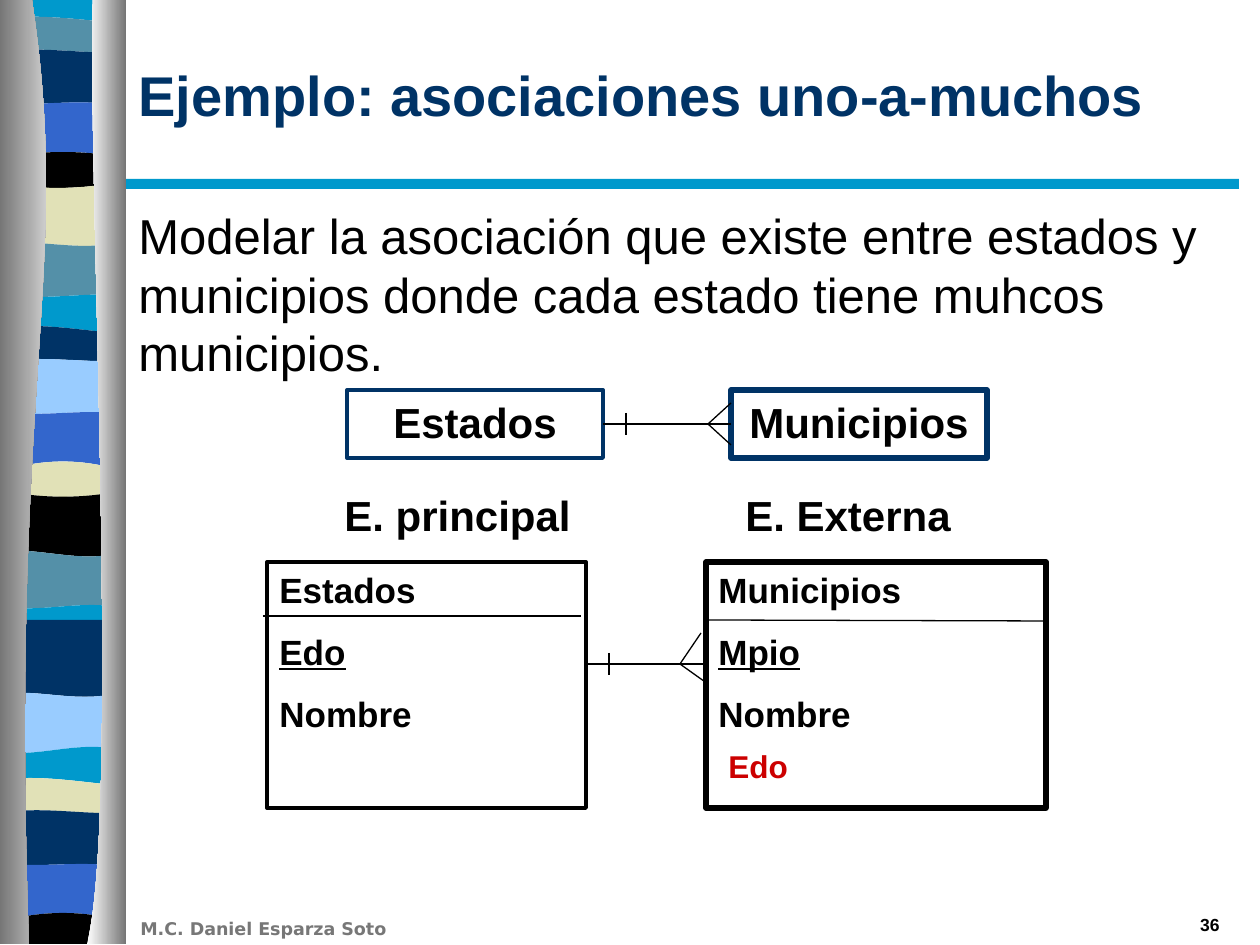
from lxml.etree import SubElement
from pptx import Presentation
from pptx.dml.color import RGBColor
from pptx.enum.shapes import MSO_CONNECTOR, MSO_SHAPE
from pptx.enum.text import MSO_ANCHOR, PP_ALIGN
from pptx.oxml.ns import qn
from pptx.util import Pt

EMU_PER_PX = 914400 / 126
NAVY = RGBColor(0x00, 0x33, 0x66)
CYAN = RGBColor(0x00, 0x99, 0xCC)
TEAL = RGBColor(0x54, 0x90, 0xA8)
BLUE = RGBColor(0x33, 0x66, 0xCC)
SKY = RGBColor(0x99, 0xCC, 0xFF)
SAND = RGBColor(0xE1, 0xE1, 0xB7)
BLACK = RGBColor(0x00, 0x00, 0x00)
WHITE = RGBColor(0xFF, 0xFF, 0xFF)
GRAY = RGBColor(0x76, 0x76, 0x76)
FOOTER_GRAY = RGBColor(0x77, 0x77, 0x77)
RED = RGBColor(0xCC, 0x00, 0x00)

BANDS = [
    (CYAN, (0, 0, 0, 0)),
    (TEAL, (18, 14, 20, 24)),
    (NAVY, (52, 46, 54, 53)),
    (BLUE, (102, 108, 96, 108)),
    (BLACK, (158, 150, 150, 158)),
    (SAND, (182, 191, 189, 181)),
    (TEAL, (244, 238, 254, 240)),
    (CYAN, (294, 302, 291, 296)),
    (NAVY, (328, 322, 331, 334)),
    (SKY, (362, 355, 363, 361)),
    (BLUE, (411, 419, 407, 415)),
    (SAND, (472, 458, 458, 472)),
    (BLACK, (490, 499, 499, 490)),
    (TEAL, (551, 547, 565, 551)),
    (CYAN, (606, 614, 598, 609)),
    (NAVY, (620, 620, 620, 620)),
    (SKY, (694, 688, 706, 690)),
    (CYAN, (752, 758, 738, 752)),
    (SAND, (780, 774, 783, 786)),
    (NAVY, (813, 806, 815, 813)),
    (BLUE, (863, 869, 859, 868)),
    (BLACK, (922, 910, 910, 922)),
]


def px(value):
    """Turn pixels into EMU."""
    return round(value * EMU_PER_PX)


def write_text(shape, *lines, size, color=BLACK, bold=True, font="Arial",
               align=PP_ALIGN.LEFT, anchor=MSO_ANCHOR.TOP, gap=0, underlined=()):
    """Write one paragraph per line into a shape."""
    frame = shape.text_frame
    frame.word_wrap = True
    frame.vertical_anchor = anchor
    for index, line in enumerate(lines):
        paragraph = frame.add_paragraph() if index else frame.paragraphs[0]
        paragraph.alignment = align
        paragraph.space_before = Pt(gap if index else 0)
        run = paragraph.add_run()
        run.text = line
        run.font.size = Pt(size)
        run.font.name = font
        run.font.bold = bold
        run.font.underline = line in underlined
        run.font.color.rgb = color


def add_text(slide, box, text, **style):
    """Add a text box."""
    write_text(slide.shapes.add_textbox(*map(px, box)), text, **style)


def add_rectangle(slide, box, line_color=None, line_width=0, fill_color=None):
    """Add an outlined or filled rectangle."""
    shape = slide.shapes.add_shape(MSO_SHAPE.RECTANGLE, *map(px, box))
    shape.shadow.inherit = False
    if fill_color is None:
        shape.fill.background()
    else:
        shape.fill.solid()
        shape.fill.fore_color.rgb = fill_color
    if line_color is None:
        shape.line.fill.background()
    else:
        shape.line.color.rgb = line_color
        shape.line.width = Pt(line_width)
    return shape


def add_line(slide, start, end):
    """Add a thin black line."""
    line = slide.shapes.add_connector(MSO_CONNECTOR.STRAIGHT, *map(px, (*start, *end)))
    line.line.color.rgb = BLACK
    line.line.width = Pt(0.75)
    SubElement(line._element.spPr, qn("a:effectLst"))
    return line


def add_outline(slide, *edges):
    """Add a closed shape whose four-point edges are cubic curves."""
    first, *rest = [(px(x), px(y)) for edge in edges for x, y in edge]
    builder = slide.shapes.build_freeform(*first, scale=1.0)
    builder.add_line_segments(rest, close=True)
    shape = builder.convert_to_shape()
    shape.shadow.inherit = False
    shape.line.fill.background()
    outline = next(shape._element.iter(qn("a:path")))
    segments = outline.findall(qn("a:lnTo"))
    position = 0
    for edge in edges:
        if len(edge) == 4:
            curve = SubElement(outline, qn("a:cubicBezTo"))
            segments[position].addprevious(curve)
            for segment in segments[position:position + 3]:
                curve.append(segment[0])
                outline.remove(segment)
        position += len(edge)
    return shape


def add_pillar(slide, inner, outer, colors):
    """Add a pillar shaded from left to right."""
    fill = add_outline(slide, inner, outer).fill
    fill.gradient()
    fill.gradient_angle = 0
    for stop, position, color in zip(fill.gradient_stops, (0, 1), colors):
        stop.position = position
        stop.color.rgb = color


def add_side_panel(slide, left, top, width, height):
    """Draw the wavy bands between two pillars."""
    right, bottom = left + width, top + height
    edges = [[(left + width * i / 3, top + y) for i, y in enumerate(heights)]
             for _, heights in BANDS]
    edges.append([(left, bottom), (right, bottom)])
    for (color, _), upper, lower in zip(BANDS, edges, edges[1:]):
        band = add_outline(slide, upper, lower[::-1])
        band.fill.solid()
        band.fill.fore_color.rgb = color
    pillars = (
        ([(32, 0), (73, 272), (9, 373), (29, height)], left, (GRAY, WHITE)),
        ([(93, 0), (87, 158), (121, 814), (87, height)], right, (WHITE, GRAY)),
    )
    for curve, side, colors in pillars:
        inner = [(left + x, top + y) for x, y in curve]
        add_pillar(slide, inner, [(side, bottom), (side, top)], colors)


def add_relationship(slide, start, end, foot, upper, lower):
    """Draw a one-to-many line with its tick and crow's foot."""
    main_line = add_line(slide, start, end)
    tick_x = start[0] + 23
    add_line(slide, (tick_x, start[1] - 11), (tick_x, start[1] + 11))
    for toe in (upper, lower):
        add_line(slide, foot, toe)
    return main_line


def add_entity_pair(slide, left, top):
    """Draw the two named entities and the line that joins them."""
    entities = []
    for name, offset, line_width in (("Estados", 0, 2.25), ("Municipios", 384, 3)):
        entity = add_rectangle(slide, (left + offset, top, 256, 68), NAVY, line_width)
        write_text(entity, name, size=24, align=PP_ALIGN.CENTER)
        entities.append(entity)
    middle, end = top + 34, left + 384
    main_line = add_relationship(slide, (left + 256, middle), (end, middle), (end - 23, middle),
                                 (end, middle - 21), (end, middle + 21))
    main_line.begin_connect(entities[0], 3)
    main_line.end_connect(entities[1], 1)


def add_entity_table(slide, box, line_width, names, rule):
    """Draw an entity with its attributes under a rule."""
    entity = add_rectangle(slide, box, BLACK, line_width)
    write_text(entity, *names, size=20, gap=11.5, underlined=names[1:2])
    start, end = [(box[0] + x, box[1] + y) for x, y in rule]
    add_line(slide, start, end)


def add_attribute_diagram(slide, left, top):
    """Draw both attribute tables and their relationship."""
    add_entity_table(slide, (left, top, 319, 246), 2.25,
                     ("Estados", "Edo", "Nombre"), ((-4, 54), (314, 54)))
    add_entity_table(slide, (left + 439, top, 340, 246), 3,
                     ("Municipios", "Mpio", "Nombre"), ((2, 58), (341, 59)))
    add_relationship(slide, (left + 319, top + 102), (left + 437, top + 102),
                     (left + 413, top + 102), (left + 434, top + 71), (left + 441, top + 122))
    add_text(slide, (left + 449, top + 179, 300, 50), "Edo", size=18, color=RED)


def add_heading(slide, left, top, width):
    """Place the title, its rule and the introduction."""
    title = slide.shapes.title
    title.left, title.top, title.width, title.height = map(px, (left, top, width, 158))
    write_text(title, "Ejemplo: asociaciones uno-a-muchos", size=32, color=NAVY,
               anchor=MSO_ANCHOR.MIDDLE)
    add_rectangle(slide, (left, top + 164, 1113, 10), fill_color=CYAN)
    add_text(slide, (left, top + 184, width, 190),
             "Modelar la asociación que existe entre estados y municipios "
             "donde cada estado tiene muhcos municipios.", size=28, bold=False)


def main():
    """Build and save the slide."""
    presentation = Presentation()
    presentation.slide_width, presentation.slide_height = px(1260), px(945)
    slide = presentation.slides.add_slide(presentation.slide_layouts[5])
    add_side_panel(slide, 0, 0, 126, 944)
    add_heading(slide, 126, 15, 1106)
    add_entity_pair(slide, 347, 390)
    for text, left in (("E. principal", 332), ("E. Externa", 733)):
        add_text(slide, (left, 483, 300, 63), text, size=24)
    add_attribute_diagram(slide, 267, 562)
    add_text(slide, (128, 912, 357, 33), "M.C. Daniel Esparza Soto", size=10,
             color=FOOTER_GRAY, font="DejaVu Sans")
    add_text(slide, (970, 908, 262, 33), "36", size=10, align=PP_ALIGN.RIGHT)
    presentation.save("out.pptx")


if __name__ == "__main__":
    main()
